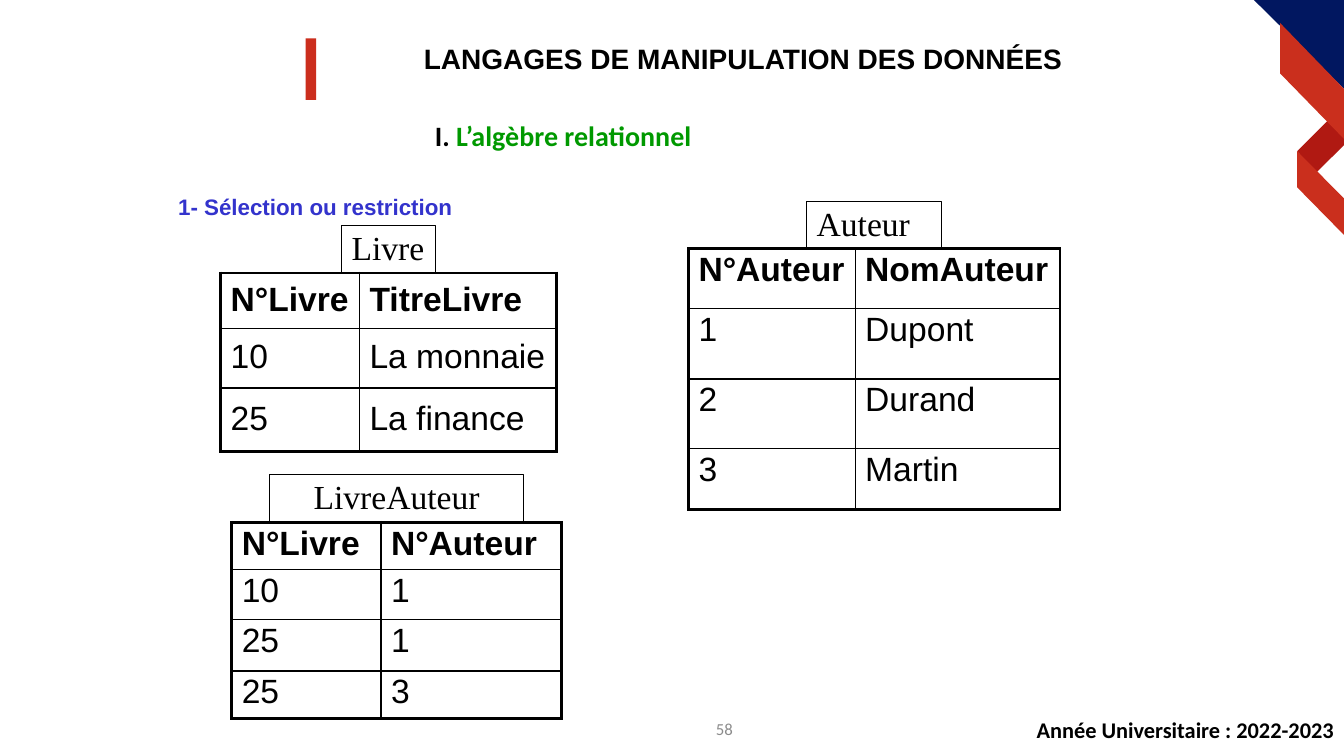
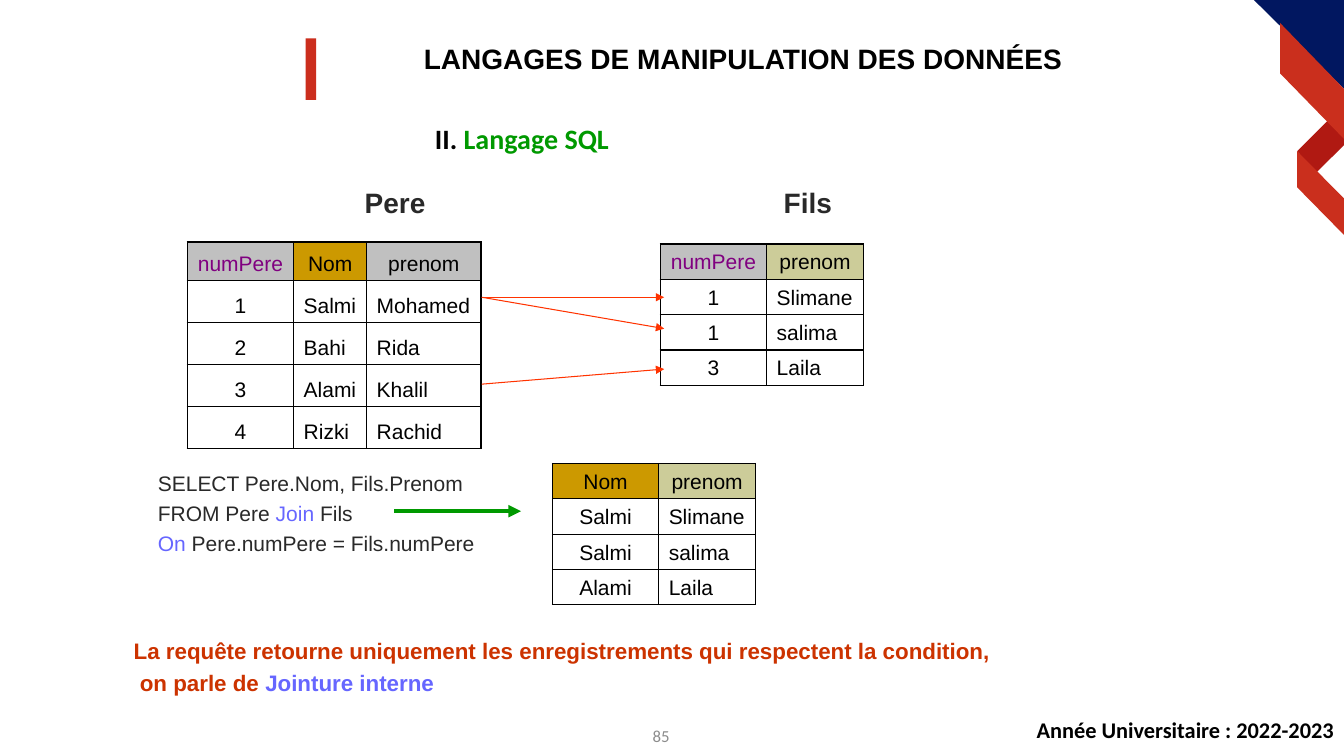
"""Build two slides on relational algebra and SQL joins."""
from dataclasses import dataclass
from typing import NamedTuple

from lxml.etree import SubElement
from pptx import Presentation
from pptx.dml.color import RGBColor
from pptx.enum.shapes import MSO_CONNECTOR, MSO_SHAPE
from pptx.enum.text import MSO_ANCHOR, PP_ALIGN
from pptx.oxml.ns import qn
from pptx.shapes.autoshape import Shape
from pptx.slide import Slide
from pptx.table import _Cell
from pptx.text.text import TextFrame
from pptx.util import Cm, Pt

BLACK = RGBColor(0x00, 0x00, 0x00)
INK = RGBColor(0x29, 0x29, 0x29)
GREY = RGBColor(0x8C, 0x8C, 0x8C)
SILVER = RGBColor(0xC0, 0xC0, 0xC0)
GOLD = RGBColor(0xCC, 0x99, 0x00)
KHAKI = RGBColor(0xCC, 0xCC, 0x99)
PURPLE = RGBColor(0x80, 0x00, 0x80)
GREEN = RGBColor(0x00, 0x99, 0x00)
BLUE = RGBColor(0x33, 0x33, 0xCC)
PERIWINKLE = RGBColor(0x66, 0x66, 0xFF)
RUST = RGBColor(0xCC, 0x33, 0x00)
ORANGE = RGBColor(0xFF, 0x33, 0x00)
NAVY = RGBColor(0x01, 0x17, 0x60)
RED = RGBColor(0xCA, 0x2F, 0x1D)
BAR_RED = RGBColor(0xCB, 0x2E, 0x1D)
DARK_RED = RGBColor(0xB0, 0x19, 0x12)

SANS, BODY, SERIF = "Arial", "Calibri", "Times New Roman"
SLIDE_WIDTH, SLIDE_HEIGHT = 33.87, 19.05
LABEL_HEIGHT = 1.2
TITLE = "LANGAGES DE MANIPULATION DES DONNÉES"
FOOTER = "Année Universitaire : 2022-2023"


class Box(NamedTuple):
    left: float
    top: float
    width: float
    height: float


class Span(NamedTuple):
    text: str
    color: RGBColor


class Ribbon(NamedTuple):
    color: RGBColor
    points: list[tuple[float, float]]


class Arrow(NamedTuple):
    start: tuple[float, float]
    end: tuple[float, float]
    color: RGBColor
    weight: float


@dataclass(frozen=True)
class Style:
    size: float
    font: str = SANS
    bold: bool = False
    align: PP_ALIGN = PP_ALIGN.LEFT
    anchor: MSO_ANCHOR = MSO_ANCHOR.TOP
    gap: float = 0
    spacing: float = 1.0


@dataclass(frozen=True)
class Grid:
    left: float
    top: float
    columns: list[float]
    heights: list[float]
    rows: list[list[str]]
    size: float = 15
    anchor: MSO_ANCHOR = MSO_ANCHOR.BOTTOM
    outer: float = 1
    spacing: float = 1.0
    fills: tuple[RGBColor, ...] = ()
    label: str = ""
    label_width: float = 0
    label_align: PP_ALIGN = PP_ALIGN.LEFT


RIBBONS = [
    Ribbon(DARK_RED, [(33.5, 3), (33.87, 3.45), (33.87, 3.66), (33.15, 4.37), (32.69, 3.81)]),
    Ribbon(NAVY, [(31.6, 0), (33.87, 0), (33.87, 2.24)]),
    Ribbon(RED, [(32.69, 3.81), (33.87, 5), (33.87, 5.92), (32.69, 4.72)]),
    Ribbon(RED, [(32.26, 0.58), (33.87, 2.24), (33.87, 3.5), (32.26, 1.85)]),
]

BOOK_GRIDS = [
    Grid(5.56, 6.88, [3.5, 4.96], [1.4, 1.5, 1.6],
         [["N°Livre", "TitreLivre"], ["10", "La monnaie"], ["25", "La finance"]],
         size=24, anchor=MSO_ANCHOR.MIDDLE, outer=2.25, spacing=0.93,
         label="Livre", label_width=2.36),
    Grid(17.35, 6.27, [4.2, 5.16], [1.5, 1.78, 1.76, 1.52],
         [["N°Auteur", "NomAuteur"], ["1", "Dupont"], ["2", "Durand"], ["3", "Martin"]],
         size=24, anchor=MSO_ANCHOR.TOP, outer=2.25, spacing=0.93,
         label="Auteur", label_width=3.4),
    Grid(5.84, 13.16, [3.76, 4.55], [1.2, 1.25, 1.3, 1.2],
         [["N°Livre", "N°Auteur"], ["10", "1"], ["25", "1"], ["25", "3"]],
         size=24, anchor=MSO_ANCHOR.TOP, outer=2.25, spacing=0.93,
         label="LivreAuteur", label_width=6.4, label_align=PP_ALIGN.CENTER),
]

JOIN_GRIDS = [
    Grid(4.72, 6.1, [2.68, 1.84, 2.88], [0.97] + [1.06] * 4,
         [["numPere", "Nom", "prenom"], ["1", "Salmi", "Mohamed"], ["2", "Bahi", "Rida"],
          ["3", "Alami", "Khalil"], ["4", "Rizki", "Rachid"]],
         fills=(SILVER, GOLD, SILVER)),
    Grid(16.64, 6.15, [2.68, 2.44], [0.89] * 4,
         [["numPere", "prenom"], ["1", "Slimane"], ["1", "salima"], ["3", "Laila"]],
         fills=(SILVER, KHAKI)),
    Grid(13.92, 11.68, [2.68, 2.44], [0.89] * 4,
         [["Nom", "prenom"], ["Salmi", "Slimane"], ["Salmi", "salima"], ["Alami", "Laila"]],
         fills=(GOLD, KHAKI)),
]

ARROWS = [
    Arrow((12.14, 7.49), (16.74, 7.49), ORANGE, 0.75),
    Arrow((12.14, 7.49), (16.74, 8.28), ORANGE, 0.75),
    Arrow((12.14, 9.68), (16.74, 9.3), ORANGE, 0.75),
    Arrow((9.93, 12.88), (13.13, 12.88), GREEN, 3),
]


def write_lines(frame: TextFrame, lines: list[list[Span]], style: Style) -> None:
    """Fill a text frame with one paragraph per line of spans."""
    for number, spans in enumerate(lines):
        paragraph = frame.add_paragraph() if number else frame.paragraphs[0]
        paragraph.alignment = style.align
        paragraph.line_spacing = style.spacing
        if number:
            paragraph.space_before = Pt(style.gap)
        for span in spans:
            run = paragraph.add_run()
            run.text = span.text
            run.font.name = style.font
            run.font.size = Pt(style.size)
            run.font.bold = style.bold
            run.font.color.rgb = span.color


def add_text(slide: Slide, box: Box, lines: list[list[Span]], style: Style) -> None:
    """Add a wrapping text box."""
    frame = slide.shapes.add_textbox(*map(Cm, box)).text_frame
    frame.word_wrap = True
    frame.vertical_anchor = style.anchor
    write_lines(frame, lines, style)


def add_rectangle(slide: Slide, box: Box) -> Shape:
    """Add a rectangle without shadow."""
    shape = slide.shapes.add_shape(MSO_SHAPE.RECTANGLE, *map(Cm, box))
    shape.shadow.inherit = False
    return shape


def add_ribbon(slide: Slide, ribbon: Ribbon) -> None:
    """Add one filled polygon of the corner ribbon."""
    points = [(Cm(x), Cm(y)) for x, y in ribbon.points]
    builder = slide.shapes.build_freeform(*points[0])
    builder.add_line_segments(points[1:], close=True)
    shape = builder.convert_to_shape()
    shape.shadow.inherit = False
    shape.fill.solid()
    shape.fill.fore_color.rgb = ribbon.color
    shape.line.fill.background()


def add_arrow(slide: Slide, arrow: Arrow) -> None:
    """Add a straight line with a triangular head at its end."""
    connector = slide.shapes.add_connector(
        MSO_CONNECTOR.STRAIGHT, *map(Cm, arrow.start + arrow.end))
    connector.line.color.rgb = arrow.color
    connector.line.width = Pt(arrow.weight)
    SubElement(connector.line._get_or_add_ln(), qn("a:tailEnd"), type="triangle")
    SubElement(connector._element.spPr, qn("a:effectLst"))


def set_borders(cell: _Cell, widths: dict[str, float]) -> None:
    """Draw black borders on the sides of a cell."""
    properties = cell._tc.get_or_add_tcPr()
    for side, width in widths.items():
        line = SubElement(properties, qn(f"a:ln{side}"), w=str(Pt(width)))
        fill = SubElement(line, qn("a:solidFill"))
        SubElement(fill, qn("a:srgbClr"), val=str(BLACK))


def add_grid(slide: Slide, grid: Grid) -> None:
    """Add a table and the label that sits centred on top of it."""
    width = sum(grid.columns)
    last_row, last_column = len(grid.rows) - 1, len(grid.columns) - 1
    table = slide.shapes.add_table(
        last_row + 1, last_column + 1, Cm(grid.left), Cm(grid.top),
        Cm(width), Cm(sum(grid.heights))).table
    table.first_row = table.horz_banding = False
    for column, column_width in zip(table.columns, grid.columns):
        column.width = Cm(column_width)
    for y, texts in enumerate(grid.rows):
        table.rows[y].height = Cm(grid.heights[y])
        for x, text in enumerate(texts):
            cell = table.cell(y, x)
            cell.vertical_anchor = grid.anchor
            edges = {"L": x == 0, "R": x == last_column, "T": y == 0, "B": y == last_row}
            set_borders(cell, {side: grid.outer if edge else 1 for side, edge in edges.items()})
            if grid.fills and y == 0:
                cell.fill.solid()
                cell.fill.fore_color.rgb = grid.fills[x]
            else:
                cell.fill.background()
            centred = grid.fills and (x == 0 or y == 0)
            style = Style(grid.size, bold=y == 0 and not grid.fills, spacing=grid.spacing,
                          align=PP_ALIGN.CENTER if centred else PP_ALIGN.LEFT)
            color = PURPLE if text == "numPere" else BLACK
            write_lines(cell.text_frame, [[Span(text, color)]], style)
    if grid.label:
        label = add_rectangle(slide, Box(grid.left + (width - grid.label_width) / 2,
                                         grid.top - LABEL_HEIGHT, grid.label_width, LABEL_HEIGHT))
        label.fill.background()
        label.line.color.rgb = BLACK
        label.line.width = Pt(0.75)
        label.text_frame.vertical_anchor = MSO_ANCHOR.TOP
        write_lines(label.text_frame, [[Span(grid.label, BLACK)]],
                    Style(24, SERIF, align=grid.label_align, spacing=0.93))


def add_base(presentation: Presentation, numeral: str, topic: str, topic_top: float,
             page: str, page_box: Box, page_align: PP_ALIGN) -> Slide:
    """Add a slide with ribbon, title, topic, footer and page number."""
    slide = presentation.slides.add_slide(presentation.slide_layouts[6])
    for ribbon in RIBBONS:
        add_ribbon(slide, ribbon)
    bar = add_rectangle(slide, Box(7.7, 0.97, 0.27, 1.55))
    bar.fill.solid()
    bar.fill.fore_color.rgb = BAR_RED
    bar.line.fill.background()
    add_text(slide, Box(8.69, 1.02, 20.07, 1.65), [[Span(TITLE, BLACK)]],
             Style(20, bold=True, align=PP_ALIGN.CENTER, spacing=0.9))
    add_text(slide, Box(10.71, topic_top, 15, 1.1),
             [[Span(numeral, BLACK), Span(topic, GREEN)]], Style(20, BODY, bold=True))
    add_text(slide, Box(23.87, 17.93, 10, 0.95), [[Span(FOOTER, BLACK)]],
             Style(16, BODY, bold=True, align=PP_ALIGN.RIGHT))
    add_text(slide, page_box, [[Span(page, GREY)]],
             Style(12, BODY, align=page_align, anchor=MSO_ANCHOR.MIDDLE))
    return slide


def build_selection(presentation: Presentation) -> None:
    """Build the slide on selection."""
    slide = add_base(presentation, "I. ", "L’algèbre relationnel", 2.85,
                     "58", Box(11.1, 17.86, 7.62, 1.02), PP_ALIGN.RIGHT)
    add_text(slide, Box(4.24, 4.75, 12, 0.95),
             [[Span("1- Sélection ou restriction", BLUE)]], Style(16, bold=True))
    for grid in BOOK_GRIDS:
        add_grid(slide, grid)


def build_join(presentation: Presentation) -> None:
    """Build the slide on the inner join."""
    slide = add_base(presentation, "II. ", "Langage SQL", 2.93,
                     "85", Box(12.85, 18.03, 7.62, 1.02), PP_ALIGN.CENTER)
    for name, left in (("Pere", 8.94), ("Fils", 19.5)):
        add_text(slide, Box(left, 4.55, 3, 1.1), [[Span(name, INK)]], Style(20, bold=True))
    for grid in JOIN_GRIDS:
        add_grid(slide, grid)
    for arrow in ARROWS:
        add_arrow(slide, arrow)
    add_text(slide, Box(3.73, 11.73, 9.8, 2.7), [
        [Span("SELECT Pere.Nom, Fils.Prenom", INK)],
        [Span("FROM Pere ", INK), Span("Join", PERIWINKLE), Span(" Fils", INK)],
        [Span("On", PERIWINKLE), Span(" Pere.numPere = Fils.numPere", INK)],
    ], Style(15, gap=3.5))
    add_text(slide, Box(3.12, 15.93, 22.4, 1.83), [
        [Span("La requête retourne uniquement les enregistrements qui respectent la condition,",
              RUST)],
        [Span(" on parle de ", RUST), Span("Jointure interne", PERIWINKLE)],
    ], Style(16, bold=True, gap=4))


def main() -> None:
    """Build and save the presentation."""
    presentation = Presentation()
    presentation.slide_width = Cm(SLIDE_WIDTH)
    presentation.slide_height = Cm(SLIDE_HEIGHT)
    build_selection(presentation)
    build_join(presentation)
    presentation.save("out.pptx")


if __name__ == "__main__":
    main()
